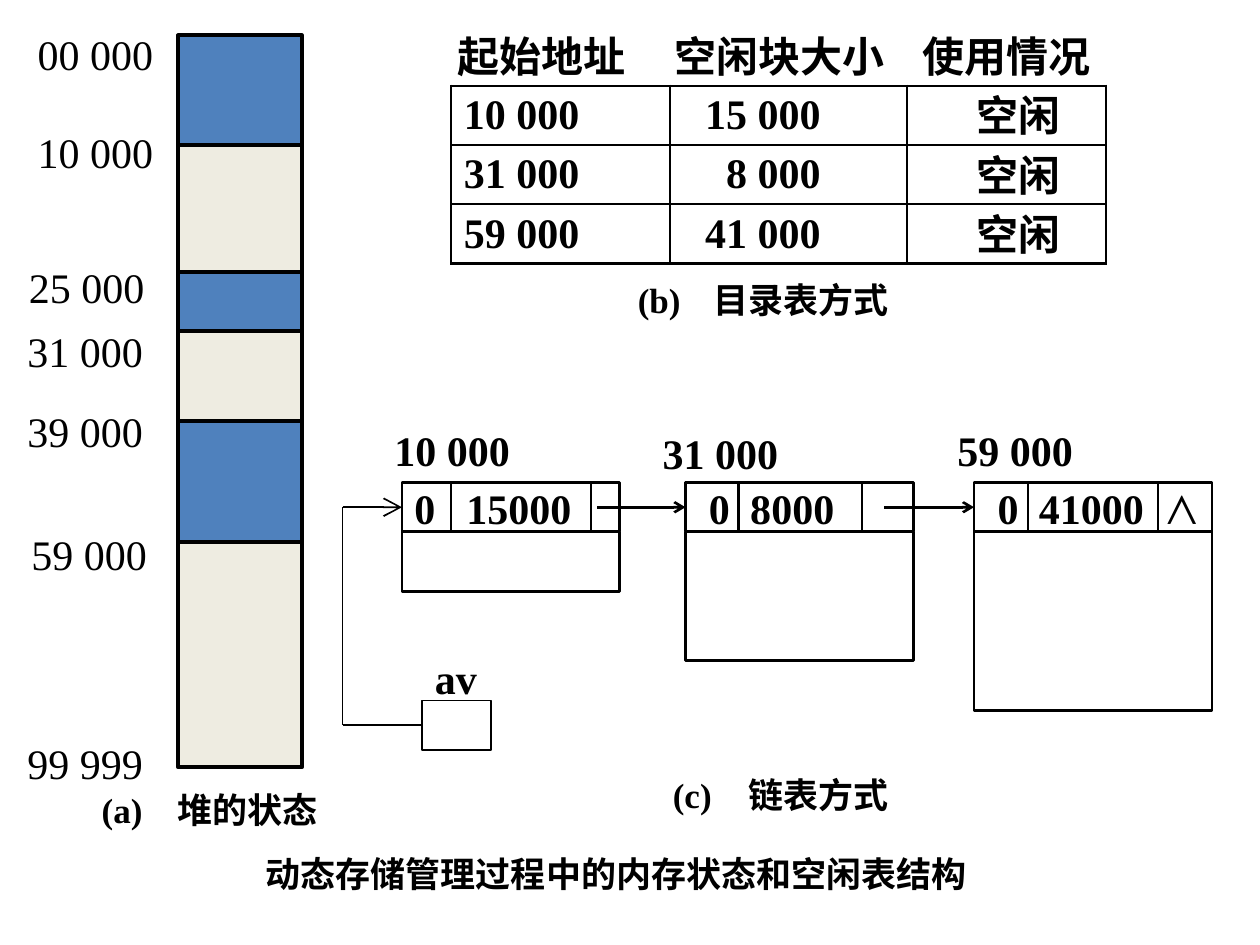
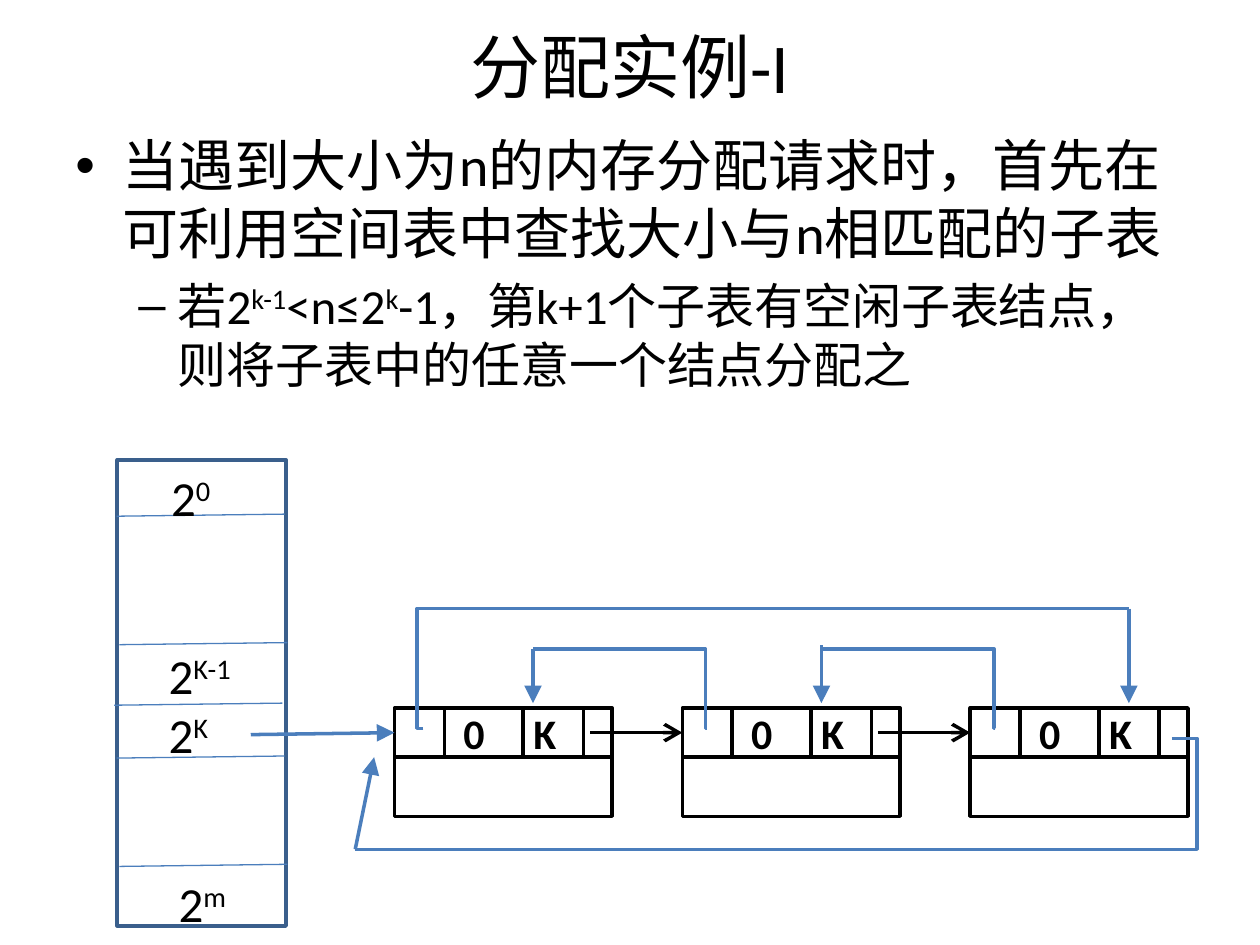
"""Build two slides on dynamic storage: heap states with free lists, and a buddy-style allocation."""
from dataclasses import dataclass
from lxml.etree import SubElement
from pptx import Presentation
from pptx.dml.color import RGBColor
from pptx.enum.shapes import MSO_CONNECTOR, MSO_SHAPE
from pptx.enum.text import MSO_ANCHOR, PP_ALIGN
from pptx.oxml.ns import qn
from pptx.util import Pt


@dataclass(frozen=True)
class Theme:
    ink: str = "000000"
    used: str = "4F81BD"
    free: str = "EEECE1"
    frame: str = "3A5F8C"
    link: str = "4B7EBC"
    serif: str = "Times New Roman"
    sans: str = "Calibri"
    title: int = 40
    body: int = 32
    sub: int = 28
    label: int = 24
    note: int = 20


T = Theme()
HEAD = 28.1

HEAP_X, HEAP_W = 101.8, 70.6
HEAP_TOPS = [20.2, 82.8, 155.5, 189.4, 240.5, 309.6, 438.5]
MARKS = [
    ("00 000", 14.4, 15.1), ("10 000", 14.4, 71.3), ("25 000", 9.4, 148.3),
    ("31 000", 8.6, 185), ("39 000", 8.6, 230.4), ("59 000", 10.8, 301),
    ("99 999", 8.6, 420.5),
]
NOTES = [
    ("(a)\t堆的状态", 51, 448.6),
    ("(b)\t目录表方式", 357.4, 157),
    ("(c)\t链表方式", 377.4, 439.9),
]
CAPTION = "动态存储管理过程中的内存状态和空闲表结构"

TABLE = [
    ("起始地址", "空闲块大小", "使用情况"),
    ("10 000", "15 000", "空闲"),
    ("31 000", "8 000", "空闲"),
    ("59 000", "41 000", "空闲"),
]
TABLE_X, TABLE_Y, ROW = 257.8, 15.1, 33.9
COLS = [125.2, 135.4, 113.8]
HEAD_PADS = [3.6, 2.2, 8.6]
CELL_PADS = [("left", 7.2), ("right", 49.5), ("right", 26)]

CHAIN_Y, CHAIN_BEND, VALUE_TAB, END_TAB = 275.8, 195.8, 37, 110
CHAIN = [
    dict(addr=("10 000", 218.2, 239), x=229.7, w=124.5, h=34, pad=7.2,
         text="0\t15000", cuts=(28.1, 108), out=111.6),
    dict(addr=("31 000", 371.5, 240.5), x=391.7, w=130.3, h=73.4, pad=13.4,
         text="0\t8000", cuts=(30.2, 100.8), out=113.7),
    dict(addr=("59 000", 540, 239), x=556.6, w=136.1, h=102.2, pad=13.4,
         text="0\t41000\t", cuts=(30.9, 105.1), out=None),
]
AV = (241.2, 400.3, 39.6, HEAD)

TITLE = "分配实例-I"
POINTS = [
    ("•", T.body, 27, -27,
     ["当遇到大小为n的内存分配请求时，首先在可利用空间表中查找大小与n相匹配的子表"]),
    ("–", T.sub, 58.5, -22.5,
     ["若2", "k-1", "<n≤2", "k", "-1，第k+1个子表有空闲子表结点，则将子表中的任意一个结点分配之"]),
]
INDEX = (67, 262.8, 96.5, 266.4)
RULES = [(162.7, 293.8), (164.2, 367.2), (161.3, 401.8), (162.7, 432), (164.2, 493.9)]
POWERS = [("0", 90.7, 263.5), ("K-1", 89.3, 365), ("K", 89.3, 398.9), ("m", 95, 495.4)]
RING_X, RING_Y, RING_STEP, RING_W, RING_BODY = 225.4, 404.6, 164.5, 124.5, 33.8
RING_CUTS = (28.5, 73.6, 108)
BENDS = [
    ((241.9, 416.2), (645.1, 347.8), 238.3),
    ((403.9, 416.2), (304.6, 370.8), 403.2),
    ((568.8, 416.2), (469.4, 370.8), 568.1),
    ((669.6, 421.9), (203, 485.3), 684),
]
DROPS = [
    ((645.1, 347.8), (645.1, 401.8)), ((469.4, 368.6), (469.4, 401.8)),
    ((304.6, 370.8), (304.6, 401.8)), ((203, 485.3), (213.8, 432.7)),
]


def tint(code):
    return RGBColor.from_string(code)


def style(para, face, size, bold=False):
    font = para.font
    font.name, font.size, font.bold = face, Pt(size), bold
    font.color.rgb = tint(T.ink)


def fill_text(para, parts):
    for num, part in enumerate(parts):
        run = para.add_run()
        run.text = part
        if num % 2:
            run._r.get_or_add_rPr().set("baseline", "30000")


def set_tabs(para, stops):
    tabs = SubElement(para._p.get_or_add_pPr(), qn("a:tabLst"))
    for stop in stops:
        SubElement(tabs, qn("a:tab"), pos=str(Pt(stop)), algn="l")
    default = para._p.pPr.find(qn("a:defRPr"))
    if default is not None:
        default.addprevious(tabs)


def write(shape, parts, face, size, bold=False, align=PP_ALIGN.LEFT, pad=7.2, stops=()):
    frame = shape.text_frame
    frame.word_wrap = True
    frame.vertical_anchor = MSO_ANCHOR.MIDDLE
    frame.margin_left, frame.margin_right = Pt(pad), Pt(min(pad, 7.2))
    frame.margin_top = frame.margin_bottom = 0
    para = frame.paragraphs[0]
    para.alignment = align
    fill_text(para, parts)
    style(para, face, size, bold)
    if stops:
        set_tabs(para, stops)
    return para


def label(slide, rect, parts, face, size, **opts):
    box = slide.shapes.add_textbox(*map(Pt, rect))
    return write(box, parts, face, size, **opts)


def block(slide, rect, weight, fill=None, line=T.ink):
    shape = slide.shapes.add_shape(MSO_SHAPE.RECTANGLE, *map(Pt, rect))
    shape.shadow.inherit = False
    if fill:
        shape.fill.solid()
        shape.fill.fore_color.rgb = tint(fill)
    else:
        shape.fill.background()
    shape.line.color.rgb = tint(line)
    shape.line.width = Pt(weight)
    return shape


def link(slide, start, end, weight, color=T.ink, tip=None, bend=None, join=None, size="lg"):
    kind = MSO_CONNECTOR.STRAIGHT if bend is None else MSO_CONNECTOR.ELBOW
    wire = slide.shapes.add_connector(kind, *map(Pt, (*start, *end)))
    if join is not None:
        wire.end_connect(join, 1)
    wire.line.color.rgb = tint(color)
    wire.line.width = Pt(weight)
    props = wire._element.spPr
    if tip:
        SubElement(wire.line._get_or_add_ln(), qn("a:tailEnd"), type=tip, w=size, len=size)
    if bend is not None:
        ratio = round((bend - start[0]) / (end[0] - start[0]) * 100000)
        guides = props.find(qn("a:prstGeom")).find(qn("a:avLst"))
        SubElement(guides, qn("a:gd"), name="adj1", fmla=f"val {ratio}")
    SubElement(props, qn("a:effectLst"))


def node(slide, x, y, width, body, cuts, weight):
    block(slide, (x, y + HEAD, width, body), weight)
    head = block(slide, (x, y, width, HEAD), weight)
    for cut in cuts:
        link(slide, (x + cut, y), (x + cut, y + HEAD), weight)
    return head


def border(cell, sides):
    props = cell._tc.get_or_add_tcPr()
    for side in sides:
        line = SubElement(props, qn(f"a:ln{side}"), w=str(Pt(1.5)))
        SubElement(SubElement(line, qn("a:solidFill")), qn("a:srgbClr"), val=T.ink)
    cell.fill.background()


def draw_table(slide):
    rows = len(TABLE)
    grid = slide.shapes.add_table(rows, len(COLS), Pt(TABLE_X), Pt(TABLE_Y),
                                  Pt(sum(COLS)), Pt(ROW * rows)).table
    grid.first_row = grid.horz_banding = False
    for col, width in zip(grid.columns, COLS):
        col.width = Pt(width)
    for r, texts in enumerate(TABLE):
        grid.rows[r].height = Pt(ROW)
        for c, text in enumerate(texts):
            cell = grid.cell(r, c)
            side, pad = CELL_PADS[c] if r else ("left", HEAD_PADS[c])
            cell.margin_top = cell.margin_bottom = 0
            cell.margin_left = Pt(pad if side == "left" else 0)
            cell.margin_right = Pt(pad if side == "right" else 0)
            cell.vertical_anchor = MSO_ANCHOR.MIDDLE
            para = cell.text_frame.paragraphs[0]
            para.alignment = PP_ALIGN.RIGHT if side == "right" else PP_ALIGN.LEFT
            if not text[0].isdigit():
                para.line_spacing = 0.9
            fill_text(para, [text])
            style(para, T.serif, T.label, True)
            border(cell, "LRTB" if r else "B")


def draw_heap(slide):
    for num, (top, end) in enumerate(zip(HEAP_TOPS, HEAP_TOPS[1:])):
        block(slide, (HEAP_X, top, HEAP_W, end - top), 2.25, T.free if num % 2 else T.used)
    for text, x, y in MARKS:
        label(slide, (x, y, 85, 31), [text], T.serif, T.label)


def draw_chain(slide):
    mid = CHAIN_Y + HEAD / 2
    heads = []
    for item in CHAIN:
        head = node(slide, item["x"], CHAIN_Y, item["w"], item["h"], item["cuts"], 1.5)
        pad = item["pad"]
        para = write(head, [item["text"]], T.serif, T.label, bold=True, pad=pad,
                     stops=(VALUE_TAB - pad, END_TAB - pad))
        text, x, y = item["addr"]
        label(slide, (x, y, 85, 36), [text], T.serif, T.label, bold=True)
        heads.append(head)
    mark = para.add_run()
    mark.text = "⋀"
    mark.font.bold = False
    for item, goal, head in zip(CHAIN, CHAIN[1:], heads[1:]):
        link(slide, (item["x"] + item["out"], mid), (goal["x"], mid), 1.5,
             tip="arrow", join=head, size="med")
    root = block(slide, AV, 1)
    base = AV[1] + HEAD / 2
    label(slide, (239, 373, 43, HEAD), ["av"], T.serif, T.label, bold=True, align=PP_ALIGN.CENTER)
    link(slide, (CHAIN_BEND, mid), (CHAIN[0]["x"], mid), 1, tip="arrow", join=heads[0])
    link(slide, (CHAIN_BEND, mid), (CHAIN_BEND, base), 1)
    link(slide, (CHAIN_BEND, base), (AV[0], base), 1, join=root)


def draw_points(slide):
    frame = slide.shapes.add_textbox(Pt(36), Pt(71.3), Pt(648), Pt(459.4)).text_frame
    frame.word_wrap = True
    for num, (sign, size, left, hang, parts) in enumerate(POINTS):
        para = frame.add_paragraph() if num else frame.paragraphs[0]
        para.level = num
        para.space_before = Pt(size * 0.2)
        props = para._p.get_or_add_pPr()
        props.set("marL", str(Pt(left)))
        props.set("indent", str(Pt(hang)))
        SubElement(props, qn("a:buFont"), typeface="Arial")
        SubElement(props, qn("a:buChar"), char=sign)
        fill_text(para, parts)
        style(para, T.sans, size)


def draw_ring(slide):
    block(slide, INDEX, 2, line=T.frame)
    for x, y in RULES:
        link(slide, (x, y), (x - 96, y + 1.2), 0.75, T.link)
    for power, x, y in POWERS:
        label(slide, (x, y, 60, 41), ["2", power], T.sans, T.sub)
    spots = [RING_X + RING_STEP * num for num in range(3)]
    mid = RING_Y + HEAD / 2
    heads = [node(slide, x, RING_Y, RING_W, RING_BODY, RING_CUTS, 2) for x in spots]
    for head in heads:
        write(head, ["0\tK"], T.sans, T.label, bold=True, pad=39.4, stops=(40,))
    for x, goal, head in zip(spots, spots[1:], heads[1:]):
        link(slide, (x + 111.8, mid), (goal, mid), 2, tip="arrow", join=head)
    link(slide, (143.3, 419.8), (RING_X, mid), 2, T.link, "triangle", join=heads[0])
    for start, end, bend in BENDS:
        link(slide, start, end, 2, T.link, bend=bend)
    for start, end in DROPS:
        link(slide, start, end, 2, T.link, "triangle")


def main():
    deck = Presentation()
    deck.slide_width, deck.slide_height = Pt(720), Pt(540)
    first, second = (deck.slides.add_slide(deck.slide_layouts[6]) for _ in range(2))
    draw_heap(first)
    draw_table(first)
    draw_chain(first)
    for text, x, y in NOTES:
        label(first, (x, y, 180, HEAD), [text], T.serif, T.note, bold=True, stops=(43.4,))
    label(first, (144.7, 485.3, 476, HEAD), [CAPTION], T.serif, T.note, bold=True)
    label(second, (36, 3.6, 648, 67.7), [TITLE], T.sans, T.title, align=PP_ALIGN.CENTER)
    draw_points(second)
    draw_ring(second)
    deck.save("out.pptx")


if __name__ == "__main__":
    main()
